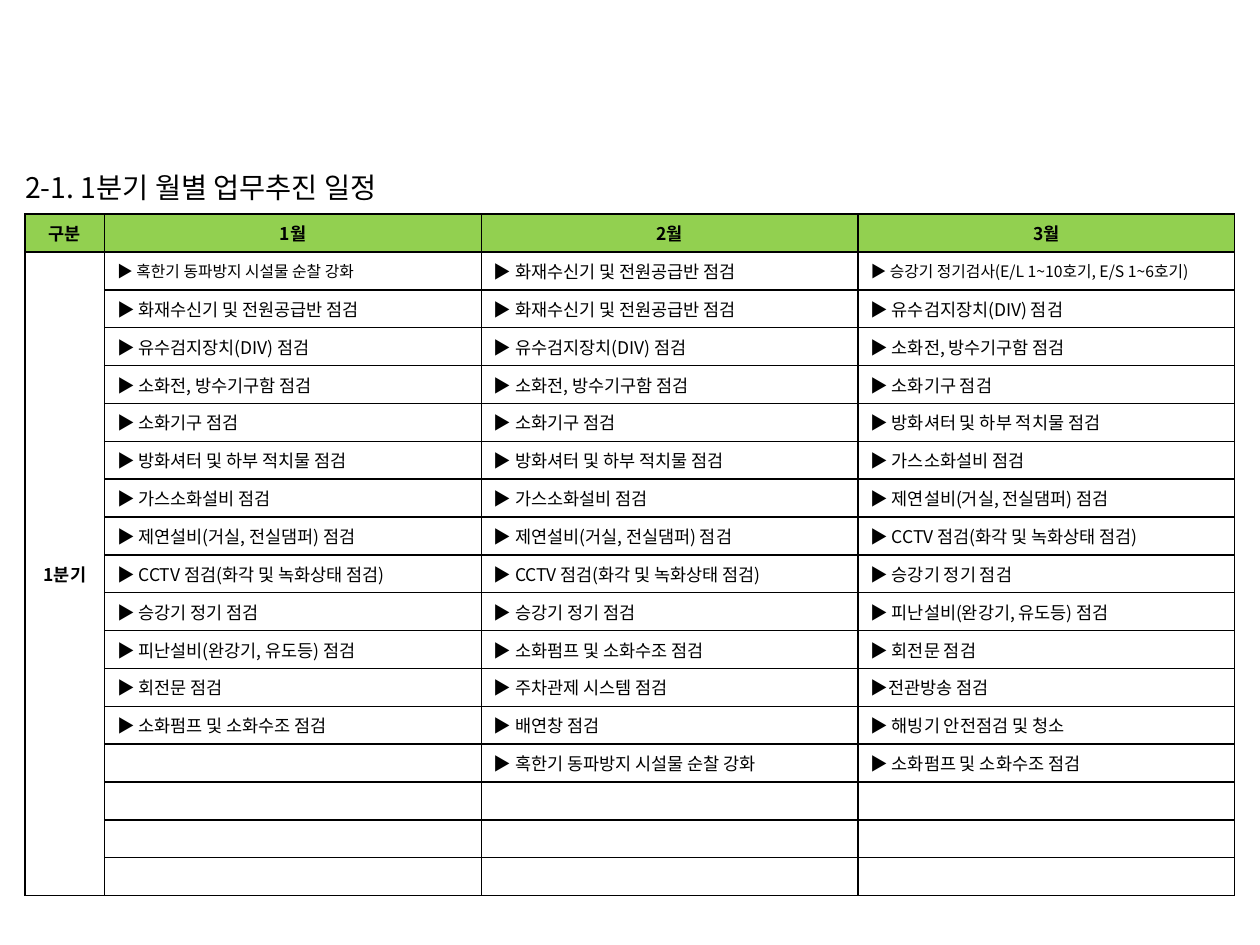
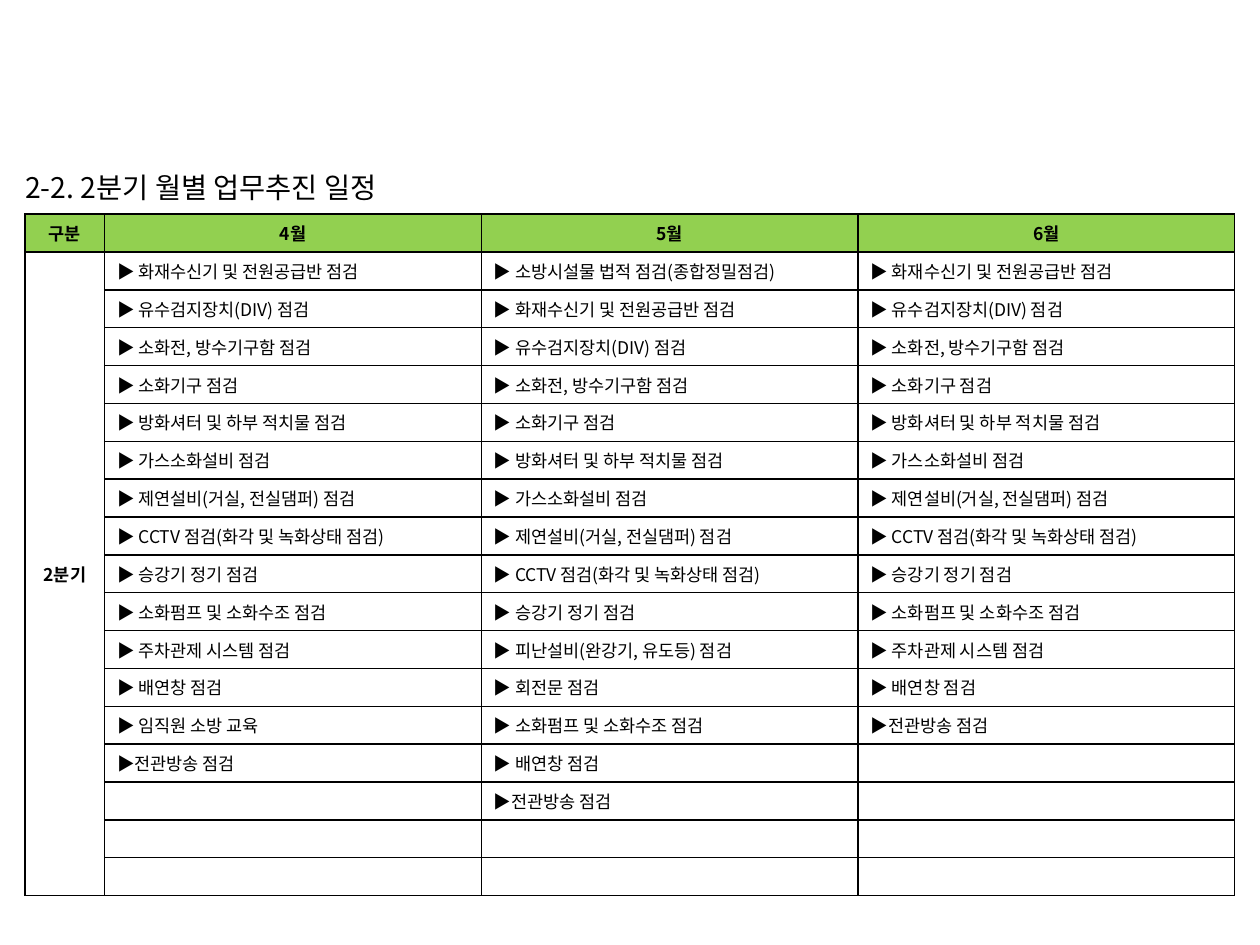
import pptx
import pptx.util
import pptx.dml.color
import pptx.enum.text
import pptx.oxml.ns
from dataclasses import dataclass
from lxml import etree

Inches = pptx.util.Inches
Pt = pptx.util.Pt
ALIGN = pptx.enum.text.PP_ALIGN
MIDDLE = pptx.enum.text.MSO_ANCHOR.MIDDLE


@dataclass(frozen=True)
class Theme:
    font: str = "Noto Sans CJK KR"
    ink: str = "000000"
    paper: str = "FFFFFF"
    header: str = "92D050"
    title_size: float = 16.2
    body_size: float = 10
    small_size: float = 9
    border: float = 1


THEME = Theme()

# Inspection tasks
FROST = "▶ 혹한기 동파방지 시설물 순찰 강화"
RECEIVER = "▶ 화재수신기 및 전원공급반 점검"
LIFT_EXAM = "▶ 승강기 정기검사(E/L 1~10호기, E/S 1~6호기)"
LEGAL_CHECK = "▶ 소방시설물 법적 점검(종합정밀점검)"
ESCAPE = "▶ 피난설비(완강기, 유도등) 점검"
DOOR = "▶ 회전문 점검"
PUMP = "▶ 소화펌프 및 소화수조 점검"
PARKING = "▶ 주차관제 시스템 점검"
VENT = "▶ 배연창 점검"
BROADCAST = "▶전관방송 점검"
THAW = "▶ 해빙기 안전점검 및 청소"
TRAINING = "▶ 임직원 소방 교육"
ROUTINE = [
    RECEIVER,
    "▶ 유수검지장치(DIV) 점검",
    "▶ 소화전, 방수기구함 점검",
    "▶ 소화기구 점검",
    "▶ 방화셔터 및 하부 적치물 점검",
    "▶ 가스소화설비 점검",
    "▶ 제연설비(거실, 전실댐퍼) 점검",
    "▶ CCTV 점검(화각 및 녹화상태 점검)",
    "▶ 승강기 정기 점검",
]

# Quarter -> month -> tasks
SCHEDULE = {
    1: {
        "1월": [FROST, *ROUTINE, ESCAPE, DOOR, PUMP],
        "2월": [RECEIVER, *ROUTINE, PUMP, PARKING, VENT, FROST],
        "3월": [LIFT_EXAM, *ROUTINE[1:], ESCAPE, DOOR, BROADCAST, THAW, PUMP],
    },
    2: {
        "4월": [*ROUTINE, PUMP, PARKING, VENT, TRAINING, BROADCAST],
        "5월": [LEGAL_CHECK, *ROUTINE, ESCAPE, DOOR, PUMP, VENT, BROADCAST],
        "6월": [*ROUTINE, PUMP, PARKING, VENT, BROADCAST],
    },
}
SMALL_TASKS = {("1월", FROST), ("3월", LIFT_EXAM)}
TASK_ROWS = 17


def rgb(color):
    return pptx.dml.color.RGBColor.from_string(color)


def add_element(parent, tag, **attributes):
    return etree.SubElement(parent, pptx.oxml.ns.qn(tag), **attributes)


def write_text(frame, text, size=THEME.body_size, bold=False, align=ALIGN.LEFT):
    paragraph = frame.paragraphs[0]
    paragraph.alignment = align
    if not text:
        # Keeps an empty row from growing to the default type size
        add_element(paragraph._p, "a:endParaRPr", sz=str(int(size * 100)))
        return
    run = paragraph.add_run()
    run.text = text
    run.font.size = Pt(size)
    run.font.bold = bold
    run.font.color.rgb = rgb(THEME.ink)
    run.font.name = THEME.font
    add_element(run._r.get_or_add_rPr(), "a:ea", typeface=THEME.font)


def style_cell(cell, fill):
    cell.vertical_anchor = MIDDLE
    cell.margin_top = cell.margin_bottom = Inches(0.03)
    properties = cell._tc.get_or_add_tcPr()
    for side in ("a:lnL", "a:lnR", "a:lnT", "a:lnB"):
        line = add_element(properties, side, w=str(Pt(THEME.border)))
        add_element(add_element(line, "a:solidFill"), "a:srgbClr", val=THEME.ink)
    cell.fill.solid()
    cell.fill.fore_color.rgb = rgb(fill)


def add_title(slide, text, left, top, width, height):
    box = slide.shapes.add_textbox(*map(Inches, (left, top, width, height)))
    frame = box.text_frame
    frame.word_wrap = True
    frame.vertical_anchor = MIDDLE
    frame.margin_left = frame.margin_right = 0
    frame.margin_top = frame.margin_bottom = 0
    write_text(frame, text, size=THEME.title_size)


def add_schedule(slide, quarter, months, left, top, width, height):
    rows = TASK_ROWS + 1
    box = map(Inches, (left, top, width, height))
    table = slide.shapes.add_table(rows, len(months) + 1, *box).table
    table.horz_banding = False
    table.first_row = False

    # Grid
    label_width = 0.63
    for index, column in enumerate(table.columns):
        share = (width - label_width) / len(months)
        column.width = Inches(share if index else label_width)
    for index, row in enumerate(table.rows):
        row.height = Inches(height / rows)
        for cell in row.cells:
            style_cell(cell, THEME.paper if index else THEME.header)

    # Header row and quarter label
    for index, heading in enumerate(["구분", *months]):
        write_text(table.cell(0, index).text_frame, heading,
                   bold=True, align=ALIGN.CENTER)
    table.cell(1, 0).merge(table.cell(TASK_ROWS, 0))
    write_text(table.cell(1, 0).text_frame, f"{quarter}분기",
               bold=True, align=ALIGN.CENTER)

    # Tasks of each month
    for column, (month, tasks) in enumerate(months.items(), start=1):
        padded = tasks + [""] * (TASK_ROWS - len(tasks))
        for row, task in enumerate(padded, start=1):
            small = (month, task) in SMALL_TASKS
            write_text(table.cell(row, column).text_frame, task,
                       size=THEME.small_size if small else THEME.body_size)


def add_quarter_slide(deck, quarter, months):
    slide = deck.slides.add_slide(deck.slide_layouts[6])
    add_title(slide, f"2-{quarter}. {quarter}분기 월별 업무추진 일정",
              0.2, 1.33, 9.05, 0.31)
    add_schedule(slide, quarter, months, 0.2, 1.7, 9.6, 5.41)


def main():
    deck = pptx.Presentation()
    deck.slide_width = Inches(10)
    deck.slide_height = Inches(7.5)
    for quarter, months in SCHEDULE.items():
        add_quarter_slide(deck, quarter, months)
    deck.save("out.pptx")


if __name__ == "__main__":
    main()
